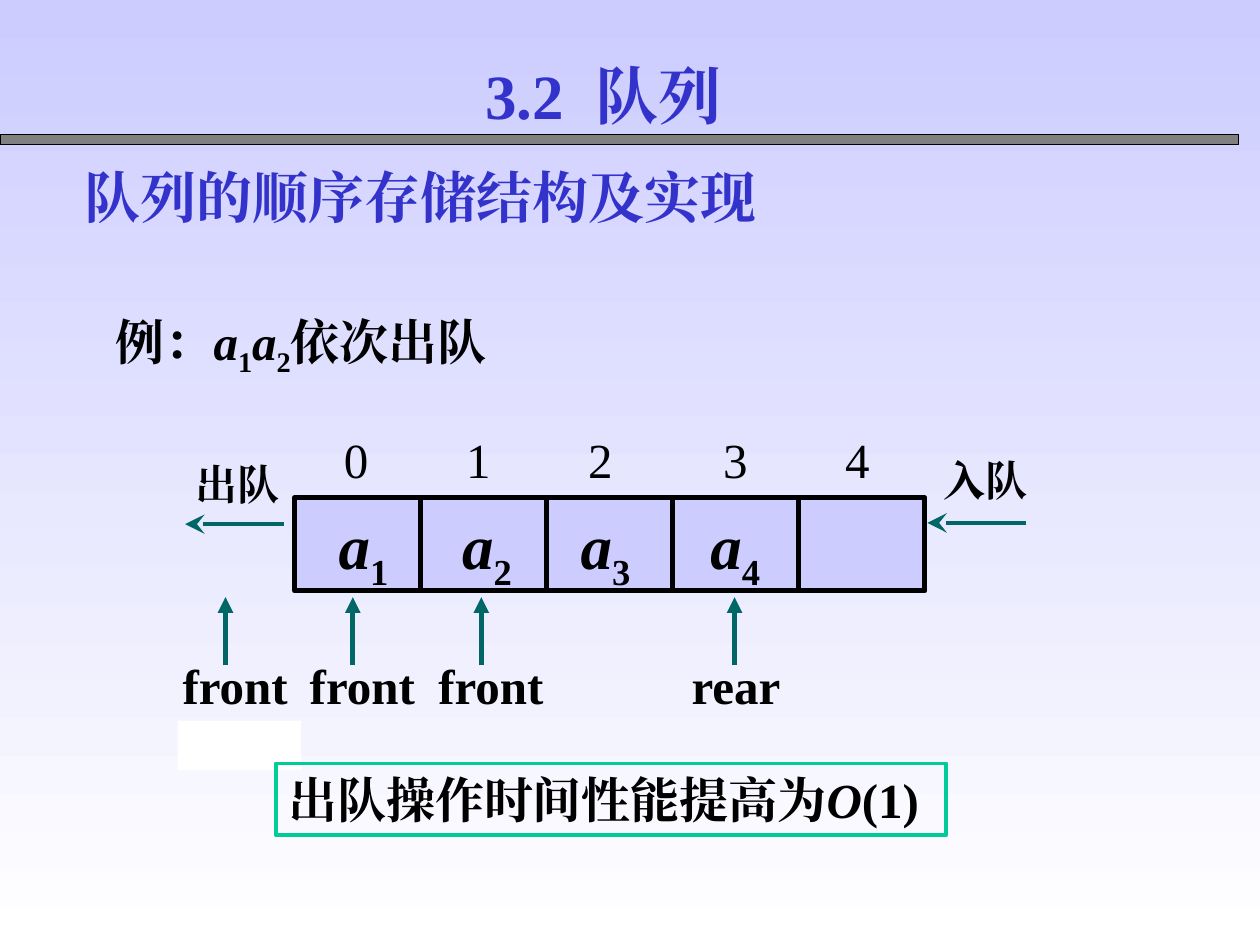
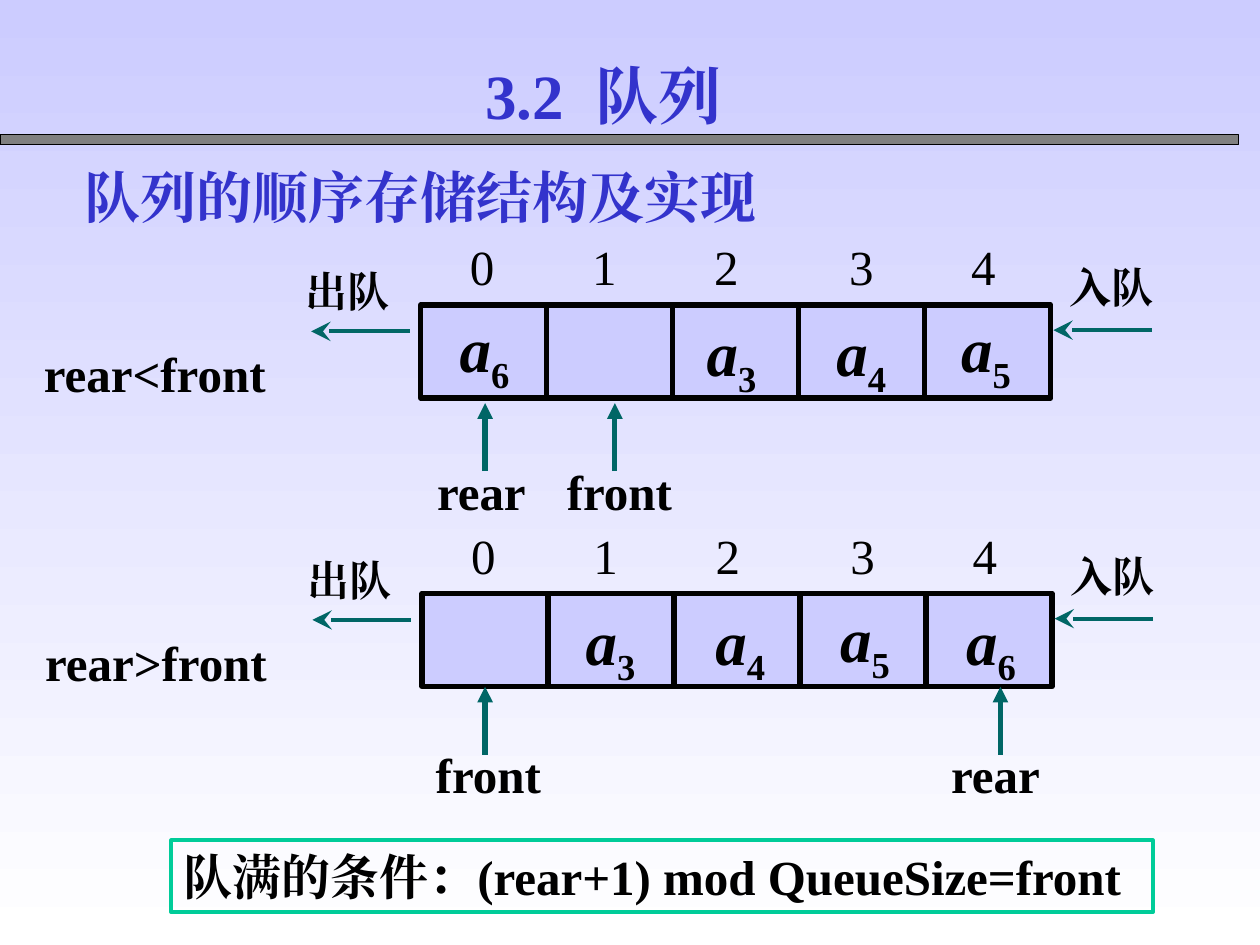
from lxml.etree import SubElement as add_element, Element as new_element
from pptx import Presentation
from pptx.dml.color import RGBColor as Rgb
from pptx.enum.shapes import MSO_CONNECTOR as Connector, MSO_SHAPE as Preset
from pptx.enum.text import MSO_AUTO_SIZE as AutoSize, PP_ALIGN as Align
from pptx.oxml.ns import qn
from pptx.util import Inches, Pt

SLIDE_WIDTH, SLIDE_HEIGHT = Inches(10), Inches(7.5)
COLUMN, ROW = SLIDE_WIDTH / 10, SLIDE_HEIGHT / 7.5
COLORS = {
    "sky": "CCCCFF", "white": "FFFFFF", "band": "808080", "ink": "000000",
    "heading": "3333CC", "arrow": "006666", "frame": "00CC99",
}
FONT = "Times New Roman"
TITLE = {"size": Pt(36), "bold": True}
SUBTITLE = {"size": Pt(32), "bold": True}
BODY = {"size": Pt(28), "bold": True}
INDEX = {"size": Pt(28), "bold": False}
SIDE = {"size": Pt(24), "bold": True}
ITEM = {"size": Pt(36), "bold": True}
CELL_COUNT = 5
CELL_HEIGHT = 0.74
INDEX_TABS = (0.97, 1.94, 3.01, 3.98)


def color(name):
    """Return the named palette colour."""
    return Rgb.from_string(COLORS[name])


def place(left, top, width, height):
    """Turn grid columns and rows into slide lengths."""
    return [round(value) for value in (left * COLUMN, top * ROW, width * COLUMN, height * ROW)]


def add_text(shapes, box, runs, text_format, ink="ink", align=Align.LEFT):
    """Add a text box whose runs are (text, kind) pairs; kind is '', 'italic', 'sub' or 'wide'."""
    shape = shapes.add_textbox(*place(*box))
    frame = shape.text_frame
    frame.word_wrap = True
    frame.auto_size = AutoSize.SHAPE_TO_FIT_TEXT
    paragraph = frame.paragraphs[0]
    paragraph.alignment = align
    for text, kind in runs:
        run = paragraph.add_run()
        run.text = text
        values = {**text_format, "name": FONT, "italic": kind == "italic"}
        for name, value in values.items():
            setattr(run.font, name, value)
        run.font.color.rgb = color(ink)
        properties = run.font._element
        add_element(properties, qn("a:ea"), typeface=FONT)
        if kind == "sub":
            properties.set("baseline", "-25000")
        if kind == "wide":
            properties.set("spc", "900")
    return shape


def add_rectangle(shapes, box, fill, line=None, weight=0):
    """Add a flat rectangle, outlined when a line colour is given."""
    shape = shapes.add_shape(Preset.RECTANGLE, *place(*box))
    shape.shadow.inherit = False
    shape.fill.solid()
    shape.fill.fore_color.rgb = color(fill)
    if line:
        shape.line.color.rgb = color(line)
        shape.line.width = Pt(weight)
    else:
        shape.line.fill.background()


def add_arrow(shapes, start, end, weight, head):
    """Add a straight arrow between two grid points."""
    ends = place(*start, *end)
    connector = shapes.add_connector(Connector.STRAIGHT, *ends)
    connector.line.color.rgb = color("arrow")
    connector.line.width = Pt(weight)
    properties = connector._element.spPr
    size = "lg" if head == "stealth" else "med"
    add_element(properties.find(qn("a:ln")), qn("a:tailEnd"), type=head, w=size, len=size)
    add_element(properties, qn("a:effectLst"))


def add_title_shadow(shape):
    """Give every run of a title a small grey shadow."""
    for run in shape.text_frame.paragraphs[0].runs:
        effects = new_element(qn("a:effectLst"))
        shadow = add_element(effects, qn("a:outerShdw"), dist="25400", dir="2700000", algn="tl")
        add_element(shadow, qn("a:srgbClr"), val=COLORS["band"])
        run.font._element.find(qn("a:solidFill")).addnext(effects)


def add_base_slide(presentation):
    """Add a blank slide with the shared gradient, band, title and subtitle."""
    slide = presentation.slides.add_slide(presentation.slide_layouts[6])
    fill = slide.background.fill
    fill.gradient()
    fill.gradient_angle = 270
    for stop, name, position in zip(fill.gradient_stops, ("sky", "white"), (0, 1)):
        stop.color.rgb = color(name)
        stop.position = position
    add_rectangle(slide.shapes, (0, 1.07, 9.83, 0.08), "band", "ink", 0.75)
    title = add_text(slide.shapes, (2.64, 0.4, 4.3, 0.7),
                     [("3.2", ""), (" ", "wide"), ("队列", "")], TITLE, "heading", Align.CENTER)
    add_title_shadow(title)
    add_text(slide.shapes, (0.57, 1.24, 6.75, 0.64),
             [("队列的顺序存储结构及实现", "")], SUBTITLE, "heading")
    return slide


def add_indices(shapes, left, top):
    """Add the row of cell indices, spaced by tab stops."""
    numbers = "\t".join(str(index) for index in range(CELL_COUNT))
    shape = add_text(shapes, (left, top, 4.68, 0.57), [(numbers, "")], INDEX)
    properties = shape.text_frame.paragraphs[0]._p.get_or_add_pPr()
    tabs = add_element(properties, qn("a:tabLst"))
    for stop in INDEX_TABS:
        add_element(tabs, qn("a:tab"), pos=str(round(stop * COLUMN)), algn="l")


def add_pointers(shapes, left, tip, label_shift, pointers):
    """Add upward arrows with a label below each."""
    for name, offset in pointers:
        x = left + offset
        add_arrow(shapes, (x, tip + 0.54), (x, tip), 3, "triangle")
        add_text(shapes, (x - label_shift, tip + 0.41, 1.05, 0.57), [(name, "")], BODY)


def add_queue(slide, left, top, items, pointers, tip, label_shift, exit_left, condition=None):
    """Draw a five-cell queue, with everything placed relative to its top left corner."""
    shapes = slide.shapes.add_group_shape().shapes
    for index in range(CELL_COUNT):
        add_rectangle(shapes, (left + index, top, 1, CELL_HEIGHT), "sky", "ink", 3)
    add_indices(shapes, left + 0.29, top - 0.59)
    add_arrow(shapes, (left + 5.8, top + 0.2), (left + 5.02, top + 0.2), 2.25, "stealth")
    add_arrow(shapes, (left - 0.09, top + 0.21), (left - 0.87, top + 0.21), 2.25, "stealth")
    add_text(shapes, (left + 5.05, top - 0.39, 1.08, 0.5), [("入队", "")], SIDE)
    add_text(shapes, (left + exit_left, top - 0.36, 1.08, 0.5), [("出队", "")], SIDE)
    for subscript, item_left, item_top in items:
        add_text(shapes, (left + item_left, top + item_top, 0.64, 0.79),
                 [("a", "italic"), (subscript, "sub")], ITEM)
    add_pointers(shapes, left, top + tip, label_shift, pointers)
    if condition:
        add_text(shapes, (left - 3.09, top + 0.26, 2.2, 0.57), [(condition, "")], BODY)


def add_conclusion(slide, box, runs):
    """Add the framed conclusion at the foot of the slide."""
    shape = add_text(slide.shapes, box, runs, BODY)
    shape.line.color.rgb = color("frame")
    shape.line.width = Pt(2.25)


def add_dequeue_slide(presentation):
    """Show two elements leaving the queue."""
    slide = add_base_slide(presentation)
    add_text(slide.shapes, (0.82, 2.42, 3.69, 0.63),
             [("例：", ""), ("a", "italic"), ("1", "sub"), ("a", "italic"), ("2", "sub"),
              ("依次出队", "")], BODY)
    add_queue(
        slide, 2.34, 3.95,
        items=[("1", 0.25, 0.02), ("2", 1.23, 0.02), ("3", 2.17, 0.02), ("4", 3.2, 0.02)],
        pointers=[("rear", 3.49), ("front", -0.55), ("front", 0.46), ("front", 1.48)],
        tip=0.79, label_shift=0.44, exit_left=-0.89)
    add_rectangle(slide.shapes, (1.41, 5.72, 0.98, 0.39), "white")
    add_conclusion(slide, (2.19, 6.06, 5.32, 0.57),
                   [("出队操作时间性能提高为", ""), ("O", "italic"), ("(1)", "")])


def add_full_queue_slide(presentation):
    """Show the two cases of a full circular queue."""
    slide = add_base_slide(presentation)
    add_queue(
        slide, 3.34, 2.42,
        items=[("3", 2.17, 0.02), ("4", 3.2, 0.02), ("5", 4.19, -0.01), ("6", 0.21, -0.01)],
        pointers=[("front", 1.54), ("rear", 0.51)],
        tip=0.78, label_shift=0.48, exit_left=-1.01, condition="rear<front")
    add_queue(
        slide, 3.35, 4.71,
        items=[("3", 1.2, 0.02), ("4", 2.23, 0.02), ("5", 3.22, 0), ("6", 4.22, 0.02)],
        pointers=[("front", 0.5), ("rear", 4.59)],
        tip=0.74, label_shift=0.49, exit_left=-1.01, condition="rear>front")
    add_conclusion(slide, (1.36, 6.67, 7.79, 0.57),
                   [("队满的条件：(rear+1) mod QueueSize=front", "")])


def main():
    """Build and save the presentation."""
    presentation = Presentation()
    presentation.slide_width, presentation.slide_height = SLIDE_WIDTH, SLIDE_HEIGHT
    add_dequeue_slide(presentation)
    add_full_queue_slide(presentation)
    presentation.save("out.pptx")


if __name__ == "__main__":
    main()
